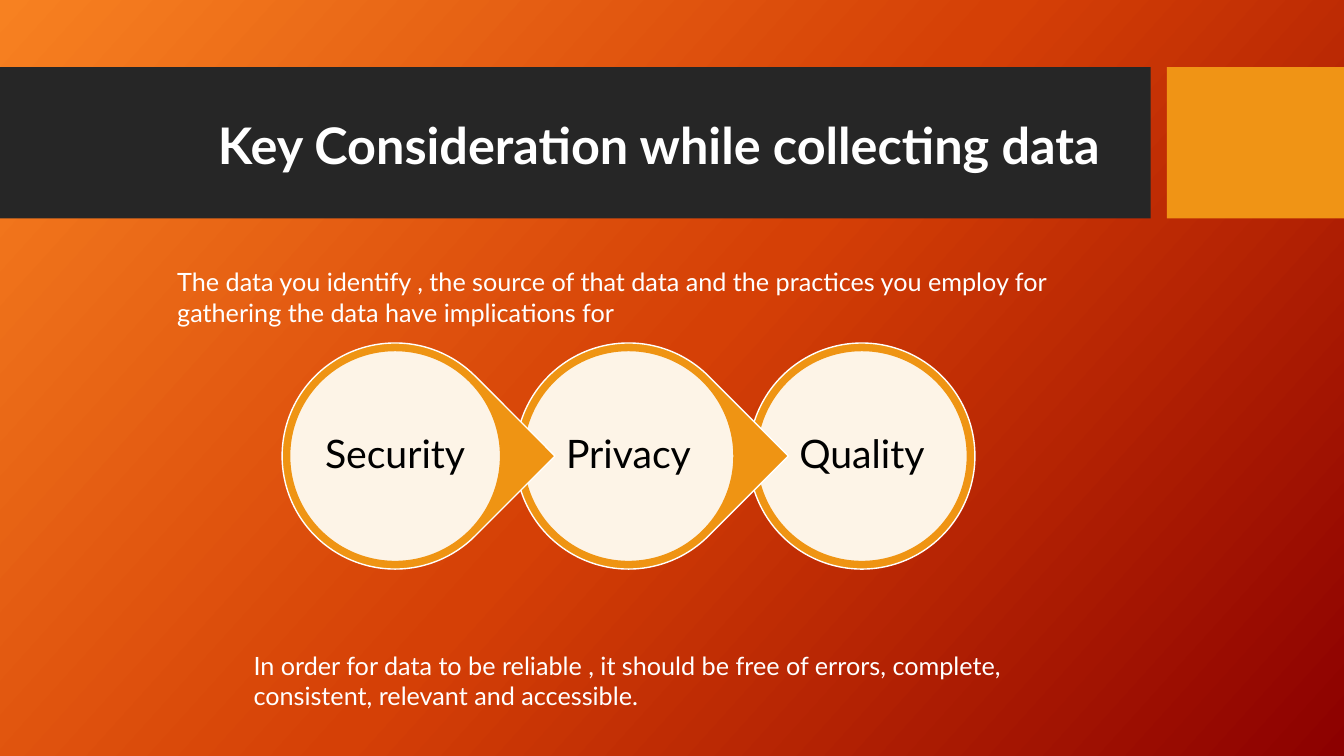
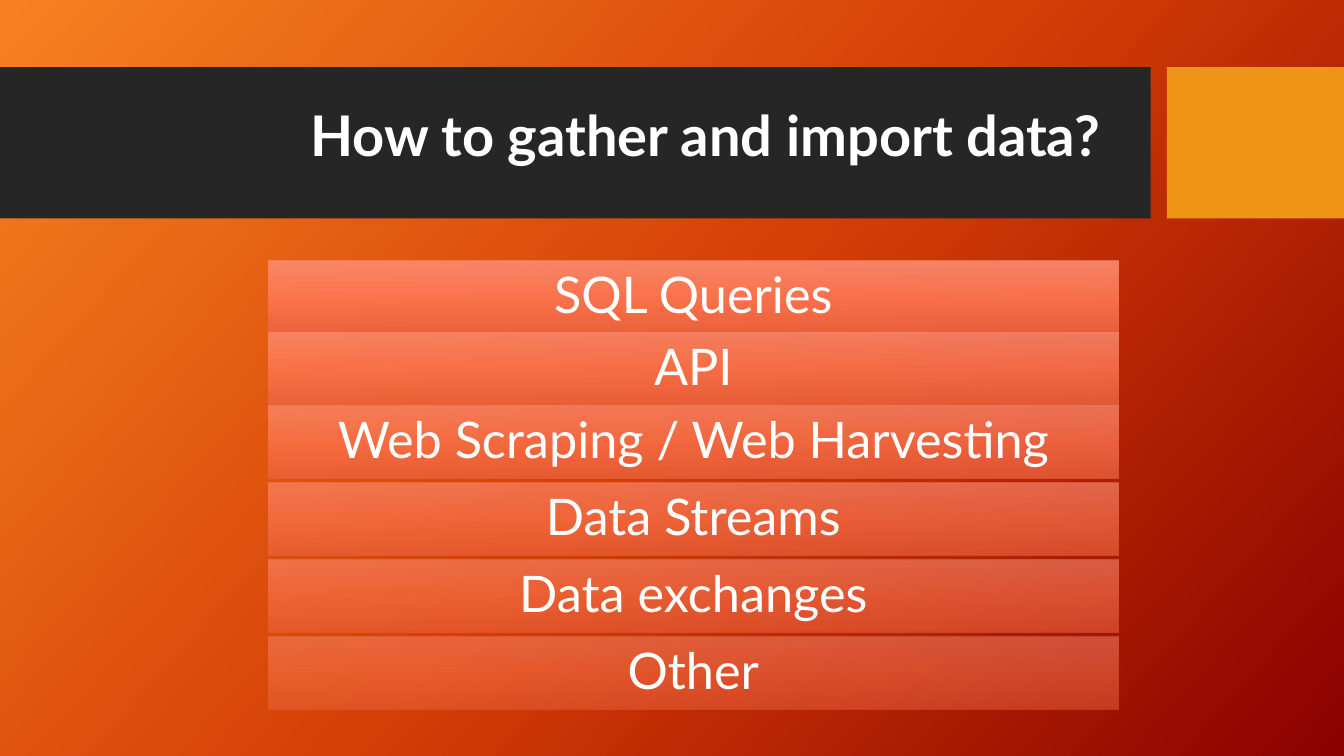
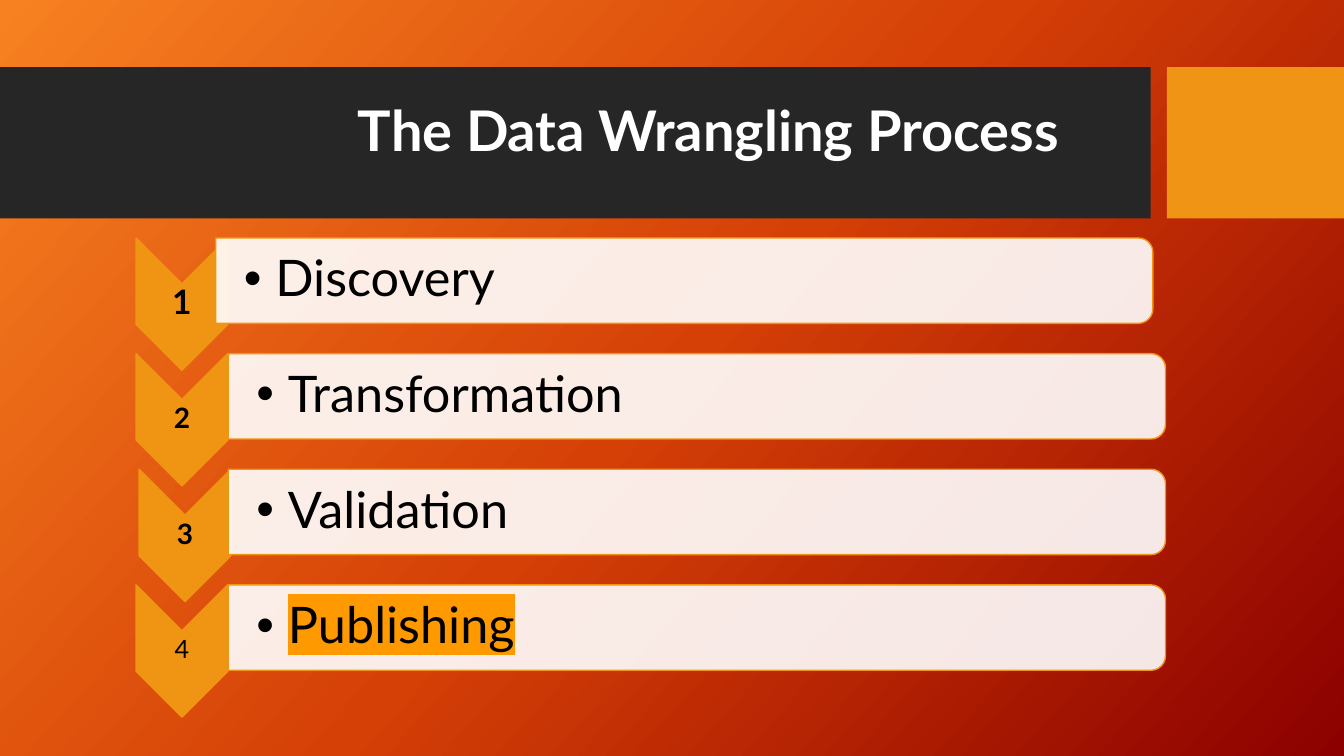
"""Build three slides on collecting and wrangling data."""
from lxml import etree
from pptx import Presentation
from pptx.dml.color import RGBColor
from pptx.enum.shapes import MSO_SHAPE as SHAPE
from pptx.enum.text import MSO_ANCHOR as ANCHOR, MSO_AUTO_SIZE as AUTO, PP_ALIGN as ALIGN
from pptx.oxml.ns import qn
from pptx.util import Pt

FONT = "Lato"
WHITE, BLACK, DARK = "FFFFFF", "000000", "262626"
BAND_ORANGE, ORANGE, HIGHLIGHT = "F09415", "EF9413", "FF9900"
BACKGROUND = ["F78121", "D54006", "8C0000"]
ROW_COLOURS = ["FC8D73", "FF7853", "EC6440"]


def colour(code):
    """Turn a hex string into a colour."""
    return RGBColor.from_string(code)


def add_node(parent, tag, **attrs):
    """Append a child element with the given attributes."""
    node = etree.SubElement(parent, qn(tag))
    for name, value in attrs.items():
        node.set(name, str(value))
    return node


def set_gradient(owner, fill, colours, angle, opacity=100):
    """Fill with evenly spaced colours along a clockwise angle."""
    fill.gradient()
    fill.gradient_angle = -angle % 360
    stops = owner.element.find(".//" + qn("a:gsLst"))
    for stop in list(stops):
        stops.remove(stop)
    for i, code in enumerate(colours):
        stop = add_node(stops, "a:gs", pos=100000 * i // (len(colours) - 1))
        tint = add_node(stop, "a:srgbClr", val=code)
        if opacity < 100:
            add_node(tint, "a:alpha", val=opacity * 1000)


def add_shape(s, kind, x, y, w, h, fill=None, line=None, opacity=100):
    """Add a preset shape with a plain fill and a thin outline."""
    sp = s.shapes.add_shape(kind, Pt(x), Pt(y), Pt(w), Pt(h))
    sp.shadow.inherit = False
    if fill:
        sp.fill.solid()
        sp.fill.fore_color.rgb = colour(fill)
    if opacity < 100:
        tint = sp.element.find(f".//{qn('a:solidFill')}/{qn('a:srgbClr')}")
        add_node(tint, "a:alpha", val=opacity * 1000)
    if line:
        sp.line.color.rgb = colour(line)
        sp.line.width = Pt(1)
    else:
        sp.line.fill.background()
    return sp


def add_turned(s, kind, x, y, w, h, **paint):
    """Add a shape turned by 90 degrees that covers the given box."""
    sp = add_shape(s, kind, x + (w - h) / 2, y + (h - w) / 2, h, w, **paint)
    sp.rotation = 90
    return sp


def write(sp, text, size, code=WHITE, bold=False, align=ALIGN.LEFT, spacing=0.9,
          anchor=ANCHOR.MIDDLE, margins=(7.2, 3.6), wrap=True, bullet=False):
    """Write one formatted paragraph into a shape."""
    tf = sp.text_frame
    tf.word_wrap = wrap
    tf.auto_size = AUTO.NONE
    tf.vertical_anchor = anchor
    tf.margin_left = tf.margin_right = Pt(margins[0])
    tf.margin_top = tf.margin_bottom = Pt(margins[1])
    tf.text = text
    p = tf.paragraphs[0]
    p.alignment = align
    p.line_spacing = spacing
    if bullet:
        props = p._p.get_or_add_pPr()
        props.set("marL", str(Pt(22.5)))
        props.set("indent", str(-Pt(22.5)))
        add_node(add_node(props, "a:buClr"), "a:srgbClr", val=code)
        add_node(props, "a:buFont", typeface="Arial")
        add_node(props, "a:buChar", char="•")
    p.font.name = FONT
    p.font.size = Pt(size)
    p.font.bold = bold
    p.font.color.rgb = colour(code)


def add_text(s, text, x, y, w, h, size, **style):
    """Add a text box."""
    sp = s.shapes.add_textbox(Pt(x), Pt(y), Pt(w), Pt(h))
    write(sp, text, size, **style)
    return sp


def add_slide(prs, title, x, y, w, size):
    """Add a slide with the two bands and a title over them."""
    s = prs.slides.add_slide(prs.slide_layouts[5])
    add_shape(s, SHAPE.RECTANGLE, 0, 48, 822, 108, DARK)
    add_shape(s, SHAPE.RECTANGLE, 833.5, 48, 126.5, 108, BAND_ORANGE)
    sp = s.shapes.title
    sp.left, sp.top, sp.width, sp.height = Pt(x), Pt(y), Pt(w), Pt(85)
    write(sp, title, size, bold=True)
    s.shapes.element.append(sp.element)
    return s


def add_circle_chain(s, labels, x, y, size, pitch):
    """Add linked circles, the last one behind and without a point."""
    rim = 5.4
    for i, label in reversed(list(enumerate(labels))):
        left = x + i * pitch
        last = i == len(labels) - 1
        kind = SHAPE.OVAL if last else SHAPE.TEAR
        outer = add_shape(s, kind, left, y, size, size, ORANGE, WHITE)
        outer.rotation = 0 if last else 45
        inner = add_shape(s, SHAPE.OVAL, left + rim, y + rim, size - 2 * rim,
                          size - 2 * rim, WHITE, ORANGE, 90)
        write(inner, label, 28, BLACK, align=ALIGN.CENTER, margins=(0, 0), wrap=False)


def add_fading_rows(s, rows, x, w, h):
    """Add full-width rows, each more transparent than the one above."""
    for i, (label, y) in enumerate(rows):
        sp = add_shape(s, SHAPE.RECTANGLE, x, y, w, h)
        set_gradient(sp, sp.fill, ROW_COLOURS, 90, 90 - 8 * i)
        write(sp, label, 36, align=ALIGN.CENTER, margins=(7.2, 7.2))


def add_step(s, number, label, y, chevron_x, bar_x, size, bold):
    """Add a numbered chevron and its bar, and return the label box."""
    add_turned(s, SHAPE.CHEVRON, chevron_x, y, 65.5, 94.5, fill=ORANGE, line=ORANGE)
    add_text(s, str(number), chevron_x, y + 33, 65.5, 28, size, code=BLACK,
             bold=bold, align=ALIGN.CENTER, margins=(1, 1))
    bar = add_turned(s, SHAPE.ROUND_2_SAME_RECTANGLE, bar_x, y, 669.5, 61,
                     fill=WHITE, line=ORANGE, opacity=90)
    bar.adjustments[0], bar.adjustments[1] = 0.17, 0
    return add_text(s, label, bar_x, y + 3, 666, 55, 36, code=BLACK,
                    margins=(20.2, 1.4), bullet=True)


def add_considerations(prs):
    """Add the slide on key considerations."""
    s = add_slide(prs, "Key Consideration while collecting data", 148.5, 63.5, 724, 36)
    add_circle_chain(s, ["Security", "Privacy", "Quality"], 201.5, 245, 161.5, 166.7)
    notes = [
        ("The data you identify , the source of that data and the practices you employ "
         "for gathering the data have implications for", 119.5, 187, 651.5),
        ("In order for data to be reliable , it should be free of errors, complete, "
         "consistent, relevant and accessible.", 174, 461, 585.5),
    ]
    for text, x, y, w in notes:
        add_text(s, text, x, y, w, 51, 18, spacing=1.0, anchor=ANCHOR.TOP)


def add_sources(prs):
    """Add the slide on ways to gather data."""
    s = add_slide(prs, "How to gather and import data?", 214.5, 56, 626.5, 40)
    rows = [("SQL Queries", 186), ("API", 237.5), ("Web Scraping / Web Harvesting", 289.5),
            ("Data Streams", 344.5), ("Data exchanges", 399.5), ("Other", 454.5)]
    add_fading_rows(s, rows, 191.5, 607.5, 52.5)


def add_process(prs):
    """Add the slide on the steps of data wrangling."""
    s = add_slide(prs, "The Data Wrangling Process", 248.5, 52.5, 626.5, 40)
    steps = [("Discovery", 97.2, 154, 24, True), ("Transformation", 97.2, 163, 20, True),
             ("Validation", 99.4, 163, 20, True), ("Publishing", 97.2, 163, 18, False)]
    for i, (label, *layout) in enumerate(steps):
        sp = add_step(s, i + 1, label, 170 + 82.6 * i, *layout)
    run_props = sp.element.find(".//" + qn("a:r")).get_or_add_rPr()
    add_node(add_node(run_props, "a:highlight"), "a:srgbClr", val=HIGHLIGHT)


def main():
    """Build and save the presentation."""
    prs = Presentation()
    prs.slide_width, prs.slide_height = Pt(960), Pt(540)
    master = prs.slide_master
    set_gradient(master, master.background.fill, BACKGROUND, 42)
    add_considerations(prs)
    add_sources(prs)
    add_process(prs)
    prs.save("out.pptx")


if __name__ == "__main__":
    main()
